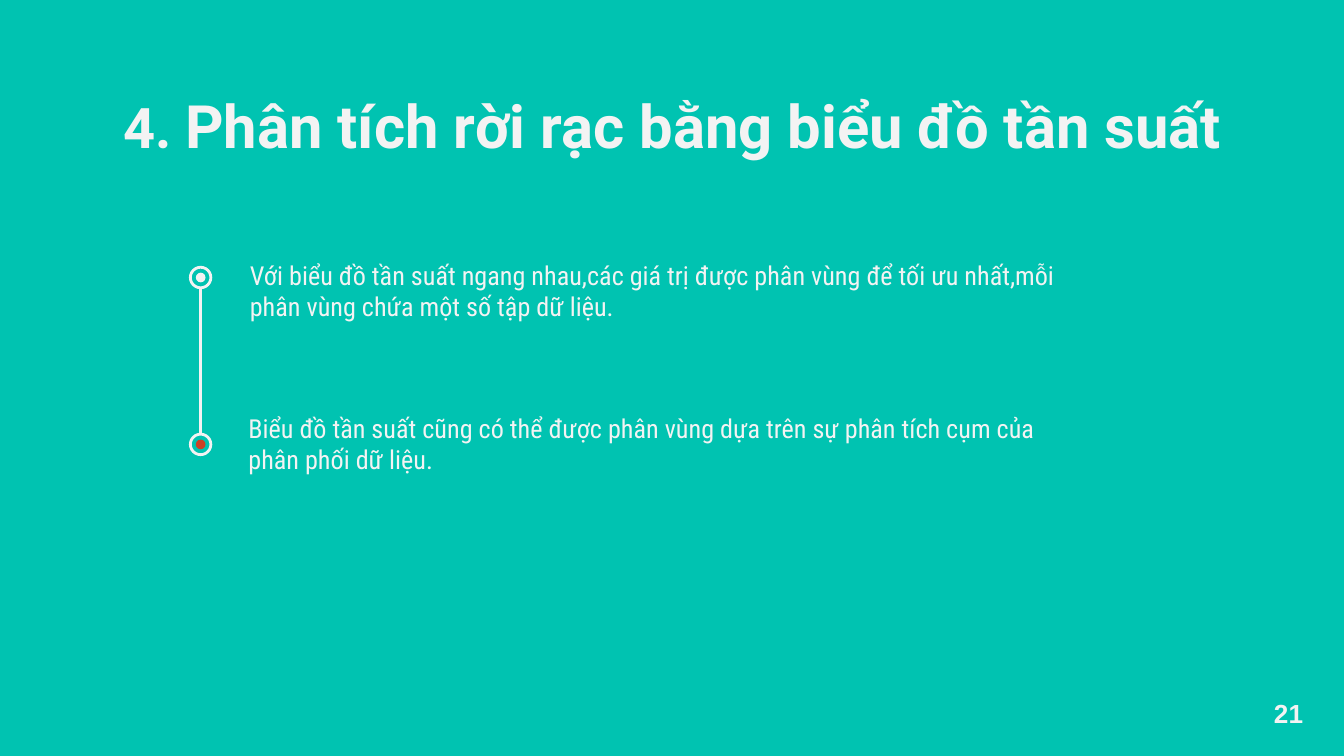
from dataclasses import dataclass

from lxml.etree import SubElement
from pptx import Presentation
from pptx.dml.color import RGBColor
from pptx.enum.shapes import MSO_CONNECTOR, MSO_SHAPE
from pptx.enum.text import MSO_ANCHOR, MSO_AUTO_SIZE, PP_ALIGN
from pptx.oxml.ns import qn
from pptx.util import Pt


@dataclass(frozen=True)
class Theme:
    back: RGBColor = RGBColor.from_string("00C3B1")
    light: RGBColor = RGBColor.from_string("F3F3F3")
    accent: RGBColor = RGBColor.from_string("CC4125")
    head: str = "Roboto"
    body: str = "Roboto Condensed"
    plain: str = "Arial"
    large: float = 32
    mark: float = 30
    small: float = 14
    stroke: float = 1.5


THEME = Theme()


def add_text(slide, box, runs, font, bold=False, insets=(7.2, 3.6, 7.2, 3.6),
             anchor=MSO_ANCHOR.TOP, align=PP_ALIGN.LEFT):
    """Place one paragraph; runs are (text, size) pairs."""
    shape = slide.shapes.add_textbox(*map(Pt, box))
    frame = shape.text_frame
    frame.word_wrap = True
    frame.vertical_anchor = anchor
    (frame.margin_left, frame.margin_top,
     frame.margin_right, frame.margin_bottom) = map(Pt, insets)
    para = frame.paragraphs[0]
    para.alignment = align
    for text, size in runs:
        run = para.add_run()
        run.text = text
        run.font.name = font
        run.font.size = Pt(size)
        run.font.bold = bold
        run.font.color.rgb = THEME.light
    return frame


def add_title(slide, box):
    runs = [("4. ", THEME.mark),
            ("Phân tích rời rạc bằng biểu đồ tần suất", THEME.large)]
    add_text(slide, box, runs, THEME.head, True, (7.2,) * 4,
             align=PP_ALIGN.CENTER)


def add_disc(slide, x, y, size, fill=None):
    """Draw a circle about its centre: solid with a fill, else a ring."""
    disc = slide.shapes.add_shape(
        MSO_SHAPE.OVAL, Pt(x - size / 2), Pt(y - size / 2), Pt(size), Pt(size))
    disc.shadow.inherit = False
    if fill is None:
        disc.fill.background()
        disc.line.color.rgb = THEME.light
        disc.line.width = Pt(THEME.stroke)
    else:
        disc.fill.solid()
        disc.fill.fore_color.rgb = fill
        disc.line.fill.background()


def add_track(slide, box):
    """Join two ringed dots, at the top and foot of the box."""
    left, top, size, height = box
    x = left + size / 2
    ends = top + size / 2, top + height - size / 2
    for y, fill in zip(ends, (THEME.light, THEME.accent)):
        add_disc(slide, x, y, size)
        add_disc(slide, x, y, 5.2, fill)
    line = slide.shapes.add_connector(
        MSO_CONNECTOR.STRAIGHT, Pt(x), Pt(top + size),
        Pt(x), Pt(top + height - size))
    line.line.color.rgb = THEME.light
    line.line.width = Pt(THEME.stroke)
    SubElement(line.element.spPr, qn("a:effectLst"))


def add_point(slide, box, text):
    add_text(slide, box, [(text, THEME.small)], THEME.body,
             insets=(7.2, 14.4, 7.2, 0), anchor=MSO_ANCHOR.MIDDLE)


def add_number(slide, box, text):
    frame = add_text(slide, box, [(text, THEME.small)], THEME.plain, True)
    frame.auto_size = MSO_AUTO_SIZE.SHAPE_TO_FIT_TEXT


def main():
    deck = Presentation()
    deck.slide_width, deck.slide_height = Pt(720), Pt(405)
    slide = deck.slides.add_slide(deck.slide_layouts[6])
    slide.background.fill.solid()
    slide.background.fill.fore_color.rgb = THEME.back

    add_title(slide, (56.9, 40.3, 607, 45.4))
    add_track(slide, (102, 143.2, 11, 100.4))
    add_point(slide, (126.8, 128.2, 465.8, 40.3),
              "Với biểu đồ tần suất ngang nhau,các giá trị được phân vùng để "
              "tối ưu nhất,mỗi phân vùng chứa một số tập dữ liệu.")
    add_point(slide, (126, 212.4, 458.6, 36),
              "Biểu đồ tần suất cũng có thể được phân vùng dựa trên sự phân "
              "tích cụm của phân phối dữ liệu.")
    add_number(slide, (675.4, 370.1, 35.3, 24.5), "21")
    deck.save("out.pptx")


if __name__ == "__main__":
    main()
